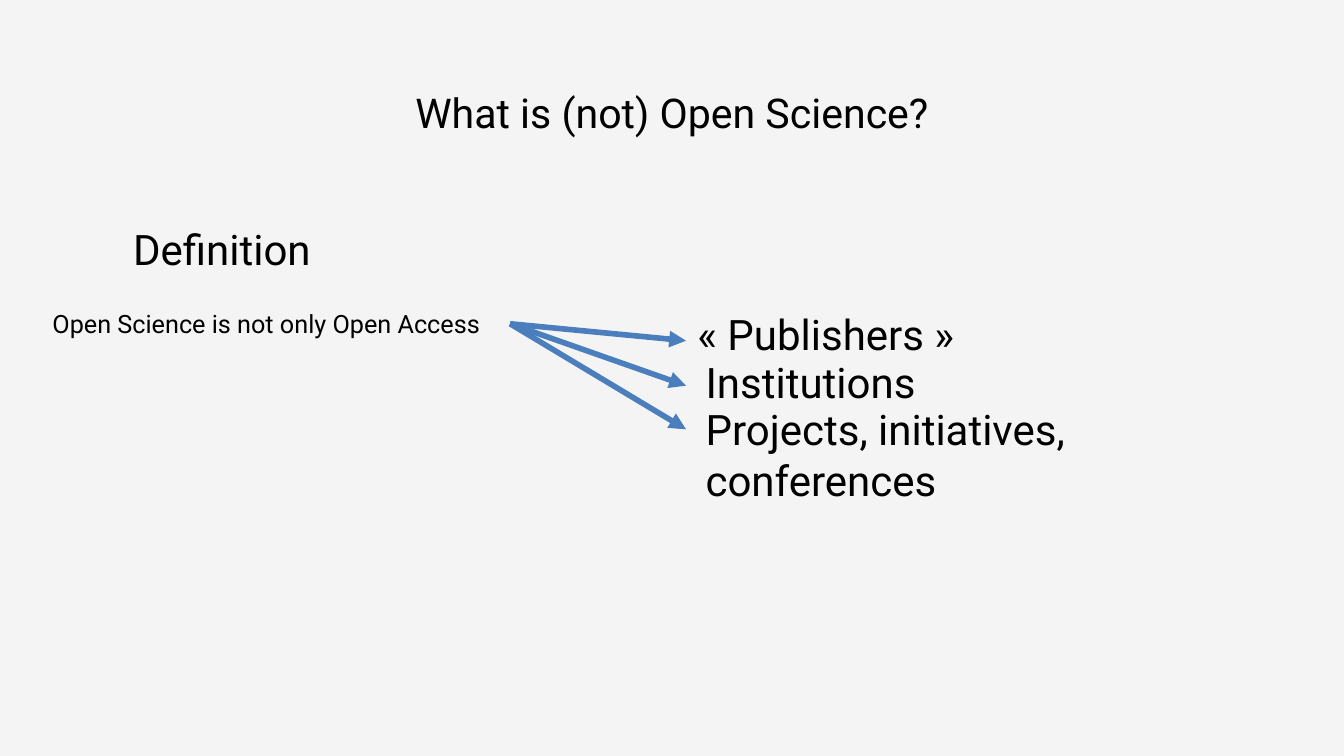
import pptx
import pptx.dml.color
import pptx.enum.shapes
import pptx.enum.text
import pptx.oxml.ns
import pptx.util
from lxml import etree

Cm = pptx.util.Cm
Pt = pptx.util.Pt
RGBColor = pptx.dml.color.RGBColor
PP_ALIGN = pptx.enum.text.PP_ALIGN
qn = pptx.oxml.ns.qn

BACKGROUND = RGBColor(0xF4, 0xF4, 0xF4)
BLACK = RGBColor(0x00, 0x00, 0x00)
BLUE = RGBColor(0x4B, 0x7E, 0xBC)


class SlideBuilder:
    font_name = "Roboto"

    def __init__(self, presentation):
        self.slide = presentation.slides.add_slide(presentation.slide_layouts[5])
        fill = self.slide.background.fill
        fill.solid()
        fill.fore_color.rgb = BACKGROUND

    def add_text(self, text_frame, text, size, alignment):
        paragraph = text_frame.paragraphs[0]
        paragraph.alignment = alignment
        run = paragraph.add_run()
        run.text = text
        run.font.name = self.font_name
        run.font.size = Pt(size)
        run.font.color.rgb = BLACK

    def title(self, text, left, top, width, height, size):
        shape = self.slide.shapes.title
        shape.left, shape.top = Cm(left), Cm(top)
        shape.width, shape.height = Cm(width), Cm(height)
        shape.text_frame.vertical_anchor = pptx.enum.text.MSO_ANCHOR.MIDDLE
        self.add_text(shape.text_frame, text, size, PP_ALIGN.CENTER)

    def label(self, text, left, top, width, height, size=45,
              alignment=PP_ALIGN.LEFT, wrap=False):
        shape = self.slide.shapes.add_textbox(Cm(left), Cm(top), Cm(width), Cm(height))
        shape.text_frame.word_wrap = wrap
        shape.text_frame.auto_size = pptx.enum.text.MSO_AUTO_SIZE.SHAPE_TO_FIT_TEXT
        self.add_text(shape.text_frame, text, size, alignment)

    def arrow(self, start, end):
        connector = self.slide.shapes.add_connector(
            pptx.enum.shapes.MSO_CONNECTOR.STRAIGHT,
            Cm(start[0]), Cm(start[1]), Cm(end[0]), Cm(end[1]))
        connector.line.color.rgb = BLUE
        connector.line.width = Pt(6)
        properties = connector._element.spPr
        etree.SubElement(properties.find(qn("a:ln")), qn("a:tailEnd"), type="triangle")
        etree.SubElement(properties, qn("a:effectLst"))


def main():
    presentation = pptx.Presentation()
    presentation.slide_width = Cm(50.8)
    presentation.slide_height = Cm(28.58)
    builder = SlideBuilder(presentation)

    # Title and heading
    builder.title("What is (not) Open Science?", 3.5, 1.47, 43.82, 5.51, size=44)
    builder.label("Definition", 4.78, 8.31, 7.98, 2.18)

    # Statement the arrows start from
    builder.label("Open Science is not only Open Access", 0.84, 11.53, 18.44, 1.42,
                  size=27, alignment=PP_ALIGN.CENTER)

    # Arrows to the three actors
    for end_y in (12.88, 14.58, 16.23):
        builder.arrow((19.28, 12.24), (25.93, end_y))

    # Actors
    builder.label("« Publishers »", 26.11, 11.53, 10.82, 2.18)
    builder.label("Institutions", 26.42, 13.34, 8.59, 2.18)
    builder.label("Projects, initiatives, conferences", 26.42, 15.14, 17.75, 4.11,
                  wrap=True)

    presentation.save("out.pptx")


if __name__ == "__main__":
    main()
